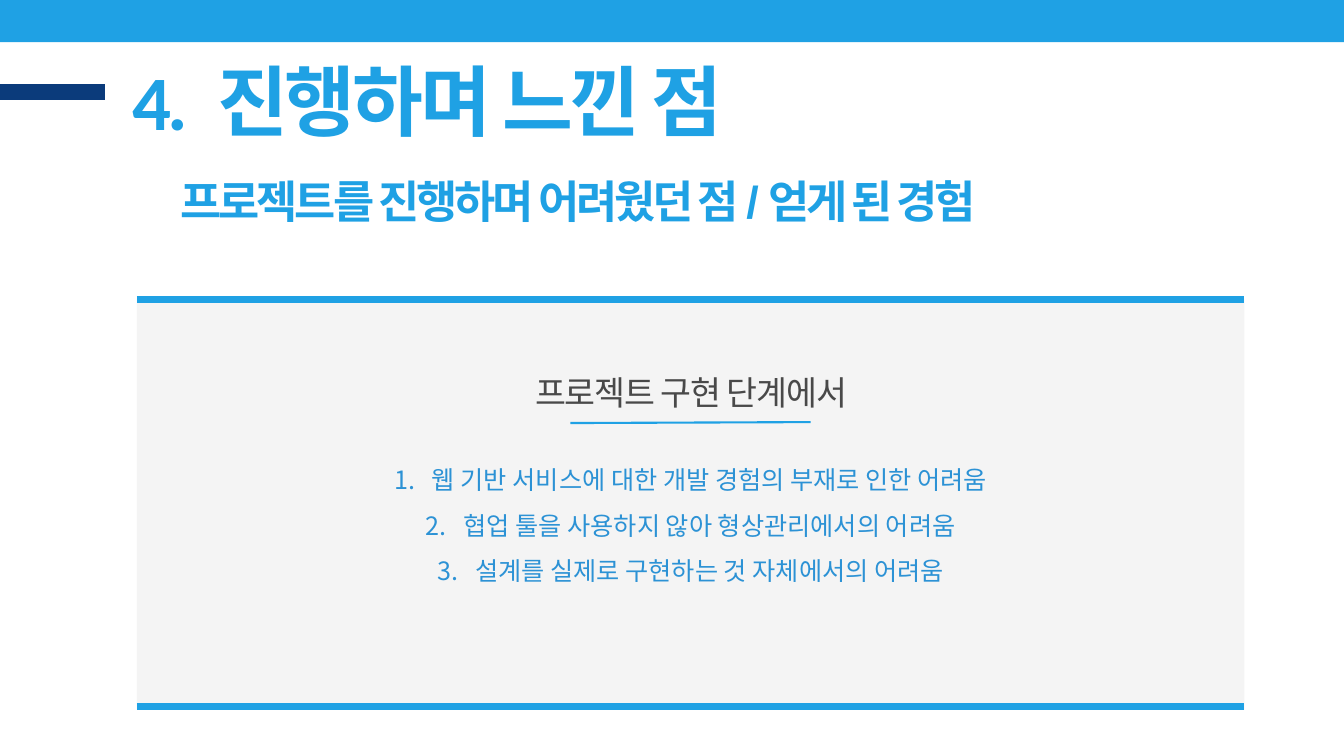
"""Build the slide on lessons learned while carrying out the project."""
from dataclasses import dataclass

from lxml.etree import SubElement
from pptx import Presentation
from pptx.dml.color import RGBColor as Rgb
from pptx.enum.shapes import MSO_CONNECTOR as Connector, MSO_SHAPE as Shape
from pptx.enum.text import MSO_ANCHOR as Anchor, MSO_AUTO_SIZE as AutoSize, PP_ALIGN as Align
from pptx.oxml.ns import qn
from pptx.util import Pt


@dataclass(frozen=True)
class Theme:
    sky: str = "1FA1E4"
    navy: str = "0B3B7B"
    panel: str = "F4F4F4"
    heading: str = "494949"
    item: str = "2C92D5"
    korean: str = "Noto Sans CJK KR"
    title_size: int = 55
    subtitle_size: int = 32
    heading_size: int = 24
    item_size: int = 18


theme = Theme()


def write(holder, box, lines, font, size, color, align, leading, bold=False, tracking=0):
    """Place a text holder and fill it with one formatted run per line."""
    holder.left, holder.top, holder.width, holder.height = map(Pt, box)
    frame = holder.text_frame
    frame.word_wrap = True
    frame.auto_size = AutoSize.NONE
    frame.vertical_anchor = Anchor.TOP
    frame.margin_left = frame.margin_top = frame.margin_right = frame.margin_bottom = 0
    for index, line in enumerate(lines):
        paragraph = frame.add_paragraph() if index else frame.paragraphs[0]
        paragraph.alignment = align
        paragraph.line_spacing = leading
        paragraph.space_before = paragraph.space_after = Pt(0)
        run = paragraph.add_run()
        run.text = line
        run.font.size = Pt(size)
        run.font.bold = bold
        run.font.color.rgb = Rgb.from_string(color)
        run.font.name = font
        properties = run.font._element
        properties.set("spc", str(round(tracking * 100)))
        SubElement(properties, qn("a:ea"), typeface=theme.korean)


prs = Presentation()
prs.slide_width, prs.slide_height = Pt(960), Pt(540)
slide = prs.slides.add_slide(prs.slide_layouts[1])
shapes = slide.shapes
title, difficulties = slide.placeholders

panel_left, panel_top, panel_width, panel_height = 97.8, 213.6, 791, 293.4
panel_right = panel_left + panel_width

for box, color in [
    ((0, 0, 960, 30.2), theme.sky),
    ((panel_left, panel_top, panel_width, panel_height), theme.panel),
]:
    block = shapes.add_shape(Shape.RECTANGLE, *map(Pt, box))
    block.shadow.inherit = False
    block.fill.solid()
    block.fill.fore_color.rgb = Rgb.from_string(color)
    block.line.fill.background()

for x1, y1, x2, y2, color, weight in [
    (0, 65.5, 75, 65.5, theme.navy, 11.25),
    (panel_left, panel_top, panel_right, panel_top, theme.sky, 5),
    (panel_left, 504.5, panel_right, 504.5, theme.sky, 5),
    (407.5, 302.2, 579, 301.5, theme.sky, 1.5),
]:
    rule = shapes.add_connector(Connector.STRAIGHT, Pt(x1), Pt(y1), Pt(x2), Pt(y2))
    rule.line.color.rgb = Rgb.from_string(color)
    rule.line.width = Pt(weight)
    SubElement(rule._element.spPr, qn("a:effectLst"))

write(title, (94.3, 38.2, 663, 67), ["4.  진행하며 느낀 점"], "Calibri",
      theme.title_size, theme.sky, Align.LEFT, Pt(66), True, -2.2)

subtitle = shapes.add_textbox(0, 0, 0, 0)
write(subtitle, (128.9, 96.5, 759.6, 67), ["프로젝트를 진행하며 어려웠던 점 / 얻게 된 경험"], "Arial",
      theme.subtitle_size, theme.sky, Align.LEFT, Pt(66), True, -2.2)

stage = shapes.add_textbox(0, 0, 0, 0)
write(stage, (250.6, 254.2, 486, 40.3), ["프로젝트 구현 단계에서"], theme.korean,
      theme.heading_size, theme.heading, Align.CENTER, Pt(40), tracking=-0.8)

write(difficulties, (panel_left, 321, panel_width, 163.4), [
    "웹 기반 서비스에 대한 개발 경험의 부재로 인한 어려움",
    "협업 툴을 사용하지 않아 형상관리에서의 어려움",
    "설계를 실제로 구현하는 것 자체에서의 어려움",
], theme.korean, theme.item_size, theme.item, Align.CENTER, 1.5)
for difficulty in difficulties.text_frame.paragraphs:
    numbering = difficulty._p.get_or_add_pPr()
    numbering.set("marL", str(Pt(27)))
    numbering.set("indent", str(-Pt(27)))
    SubElement(numbering, qn("a:buFont"), typeface="+mj-lt")
    SubElement(numbering, qn("a:buAutoNum"), type="arabicPeriod")

for placeholder in (title, difficulties):
    shapes.element.append(placeholder.element)

prs.save("out.pptx")
